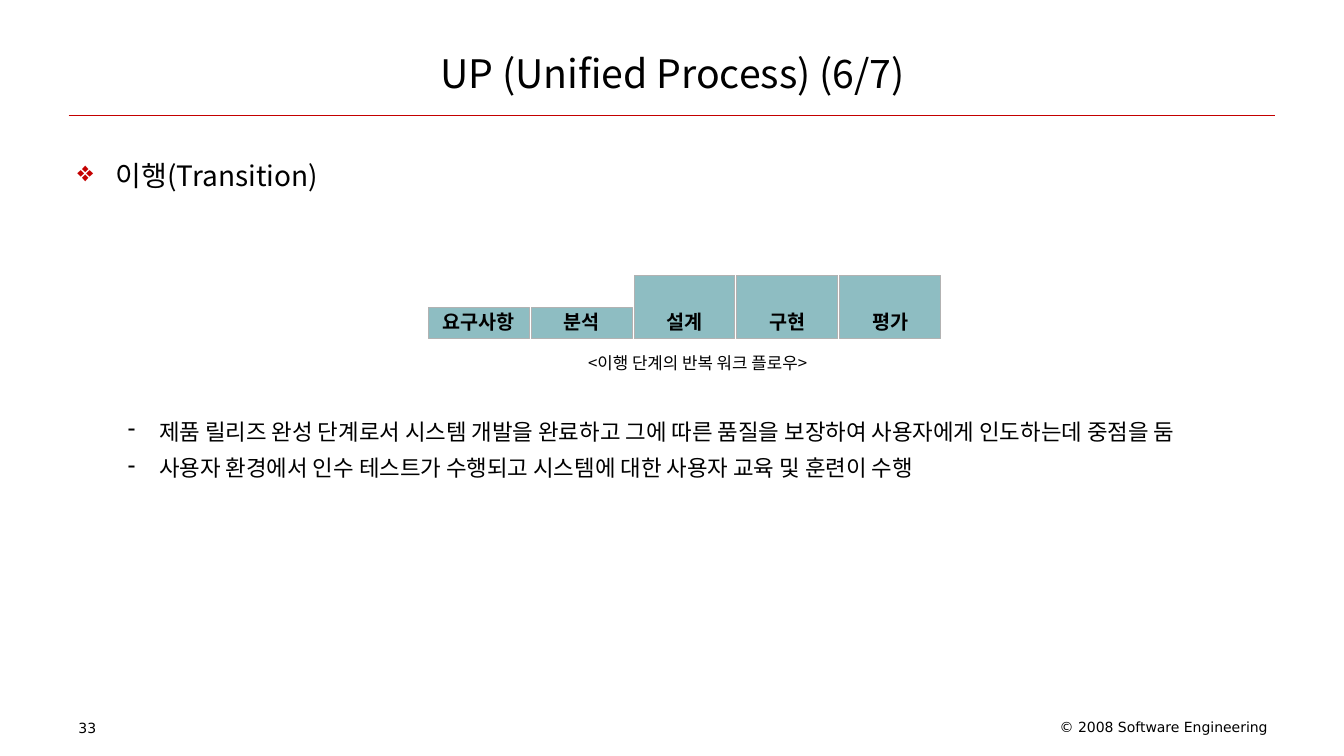
from lxml import etree
from pptx import Presentation
from pptx.dml.color import RGBColor
from pptx.enum.shapes import MSO_CONNECTOR, MSO_SHAPE
from pptx.enum.text import MSO_ANCHOR, PP_ALIGN
from pptx.oxml.ns import qn
from pptx.util import Inches, Pt

STRAIGHT = MSO_CONNECTOR.STRAIGHT
RECTANGLE = MSO_SHAPE.RECTANGLE
LEFT, CENTER, RIGHT = PP_ALIGN.LEFT, PP_ALIGN.CENTER, PP_ALIGN.RIGHT
TOP, MIDDLE, BOTTOM = MSO_ANCHOR.TOP, MSO_ANCHOR.MIDDLE, MSO_ANCHOR.BOTTOM

COLORS = {"text": "000000", "accent": "C40000", "bar": "8EBDC2", "edge": "B2B2B2"}
MAIN_FONT = "Noto Sans CJK KR"
FOOTER_FONT = "DejaVu Sans"
TITLE_ONLY = 5

# Workflow name and bar height in inches
WORKFLOWS = [("요구사항", 0.31), ("분석", 0.31), ("설계", 0.63), ("구현", 0.63), ("평가", 0.63)]
BAR_LEFT, BAR_STEP, BAR_WIDTH, BAR_BASE = 4.25, 1.02, 1, 3.36


def color(name):
    return RGBColor.from_string(COLORS[name])


def add_run(para, text, size, font=MAIN_FONT, bold=False):
    run = para.add_run()
    run.text = text
    run.font.size = Pt(size)
    run.font.name = font
    run.font.bold = bold
    run.font.color.rgb = color("text")
    east_asian = etree.SubElement(run._r.get_or_add_rPr(), qn("a:ea"))
    east_asian.set("typeface", font)


def add_box(page, left, top, width, height):
    box = page.shapes.add_textbox(Inches(left), Inches(top), Inches(width), Inches(height))
    box.text_frame.word_wrap = True
    return box.text_frame


def add_footer(page, text, align, left, top, width, height):
    para = add_box(page, left, top, width, height).paragraphs[0]
    para.alignment = align
    add_run(para, text, 10, FOOTER_FONT)


def set_indent(para, margin, hanging):
    properties = para._p.get_or_add_pPr()
    properties.set("marL", str(Inches(margin)))
    properties.set("indent", str(-Inches(hanging)))


def set_bullet(para, symbol, color_name):
    properties = para._p.get_or_add_pPr()
    bullet_color = etree.SubElement(properties, qn("a:buClr"))
    etree.SubElement(bullet_color, qn("a:srgbClr")).set("val", COLORS[color_name])
    etree.SubElement(properties, qn("a:buChar")).set("char", symbol)


def add_body_line(para, text, size, indent, line_spacing, before, align=LEFT, bullet=None):
    para.alignment = align
    para.line_spacing = line_spacing
    para.space_before = Pt(before)
    set_indent(para, *indent)
    if bullet:
        set_bullet(para, *bullet)
    add_run(para, text, size)


def add_title(page, text):
    title = page.shapes.title
    title.left, title.top = Inches(0.67), Inches(0.3)
    title.width, title.height = Inches(12), Inches(0.85)
    title.text_frame.vertical_anchor = MIDDLE
    para = title.text_frame.paragraphs[0]
    para.alignment = CENTER
    add_run(para, text, 28)


def add_rule(page):
    rule = page.shapes.add_connector(
        STRAIGHT, Inches(0.68), Inches(1.15), Inches(12.65), Inches(1.15))
    rule.line.color.rgb = color("accent")
    rule.line.width = Pt(0.75)
    etree.SubElement(rule._element.spPr, qn("a:effectLst"))


def add_body(page):
    frame = add_box(page, 0.67, 1.39, 12, 5.51)
    frame.vertical_anchor = TOP
    heading_indent, detail_indent = (0.38, 0.38), (0.81, 0.31)
    add_body_line(frame.paragraphs[0], "이행(Transition)", 20, heading_indent, 1.4, 4,
                  bullet=("❖", "accent"))
    add_body_line(frame.add_paragraph(), "<이행 단계의 반복 워크 플로우>", 12,
                  detail_indent, 1.2, 112, align=CENTER)
    details = [
        ("제품 릴리즈 완성 단계로서 시스템 개발을 완료하고 그에 따른 품질을 보장하여 "
         "사용자에게 인도하는데 중점을 둠", 28),
        ("사용자 환경에서 인수 테스트가 수행되고 시스템에 대한 사용자 교육 및 훈련이 수행", 3.2),
    ]
    for text, before in details:
        add_body_line(frame.add_paragraph(), text, 16, detail_indent, 1.2, before,
                      bullet=("-", "text"))


def add_bar(page, name, left, height):
    bar = page.shapes.add_shape(RECTANGLE, Inches(left), Inches(BAR_BASE - height),
                                Inches(BAR_WIDTH), Inches(height))
    bar.shadow.inherit = False
    bar.fill.solid()
    bar.fill.fore_color.rgb = color("bar")
    bar.line.color.rgb = color("edge")
    bar.line.width = Pt(0.75)
    frame = bar.text_frame
    frame.word_wrap = False
    frame.vertical_anchor = BOTTOM
    para = frame.paragraphs[0]
    para.alignment = CENTER
    add_run(para, name, 14, bold=True)


def main():
    deck = Presentation()
    deck.slide_width, deck.slide_height = Inches(13.33), Inches(7.5)
    page = deck.slides.add_slide(deck.slide_layouts[TITLE_ONLY])

    # Header
    add_title(page, "UP (Unified Process) (6/7)")
    add_rule(page)

    # Explanation
    add_body(page)

    # Workflow bars on a common base line
    for index, (name, height) in enumerate(WORKFLOWS):
        add_bar(page, name, BAR_LEFT + index * BAR_STEP, height)

    # Footer
    add_footer(page, "33", LEFT, 0.68, 7.09, 3.11, 0.28)
    add_footer(page, "© 2008 Software Engineering", RIGHT, 8.45, 7.08, 4.22, 0.29)

    deck.save("out.pptx")


if __name__ == "__main__":
    main()
